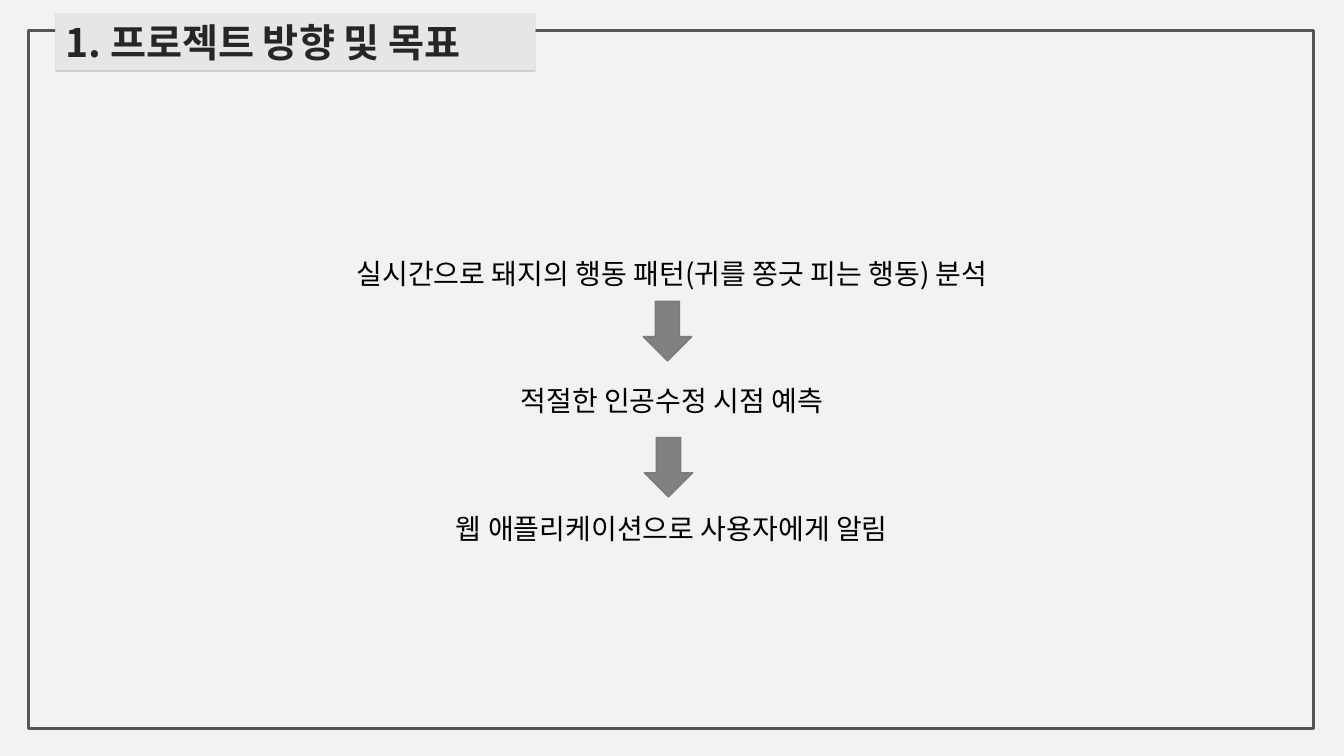
import pptx
import pptx.dml.color
import pptx.enum.shapes
import pptx.enum.text
import pptx.oxml
import pptx.oxml.ns
import pptx.util
from pptx.util import Inches

FONT = "Noto Sans CJK KR"
COLORS = {
    "background": "F2F2F2",
    "frame": "565658",
    "title_fill": "E6E6E6",
    "title_edge": "BFBFBF",
    "title_text": "262626",
    "body_text": "000000",
    "arrow_fill": "808080",
    "arrow_line": "7A7A7A",
}
GOALS = [
    "실시간으로 돼지의 행동 패턴(귀를 쫑긋 피는 행동) 분석",
    "적절한 인공수정 시점 예측",
    "웹 애플리케이션으로 사용자에게 알림",
]
SHAPES = pptx.enum.shapes.MSO_SHAPE
ALIGN = pptx.enum.text.PP_ALIGN


def color(name):
    return pptx.dml.color.RGBColor.from_string(COLORS[name])


def add_block(page, kind, place, fill=None, line=None, width=1):
    block = page.shapes.add_shape(kind, *map(Inches, place))
    block.shadow.inherit = False
    if fill:
        block.fill.solid()
        block.fill.fore_color.rgb = color(fill)
    else:
        block.fill.background()
    if line:
        block.line.color.rgb = color(line)
        block.line.width = pptx.util.Pt(width)
    else:
        block.line.fill.background()
    return block


def write_lines(box, lines, size, tint, align, bold=False, gap=0):
    frame = box.text_frame
    frame.word_wrap = True
    frame.vertical_anchor = pptx.enum.text.MSO_ANCHOR.MIDDLE
    for index, line in enumerate(lines):
        para = frame.add_paragraph() if index else frame.paragraphs[0]
        para.alignment = align
        if index:
            para.space_before = pptx.util.Pt(gap)
        span = para.add_run()
        span.text = line
        span.font.name = FONT
        span.font.size = pptx.util.Pt(size)
        span.font.bold = bold
        span.font.color.rgb = color(tint)
        # Korean letters take the East Asian typeface
        east_asian = pptx.oxml.parse_xml(
            f'<a:ea {pptx.oxml.ns.nsdecls("a")} typeface="{FONT}"/>')
        span.font._element.append(east_asian)


def add_bottom_edge(block):
    effects = block._element.spPr.find(pptx.oxml.ns.qn("a:effectLst"))
    effects.append(pptx.oxml.parse_xml(
        f'<a:outerShdw {pptx.oxml.ns.nsdecls("a")} dist="9525" dir="5400000">'
        f'<a:srgbClr val="{COLORS["title_edge"]}"/></a:outerShdw>'))


def main():
    deck = pptx.Presentation()
    deck.slide_width, deck.slide_height = Inches(13.33), Inches(7.5)
    page = deck.slides.add_slide(deck.slide_layouts[6])
    page.background.fill.solid()
    page.background.fill.fore_color.rgb = color("background")

    # Frame and title
    add_block(page, SHAPES.RECTANGLE, (0.28, 0.3, 12.75, 6.93), line="frame", width=2)
    title = add_block(page, SHAPES.RECTANGLE, (0.55, 0.13, 4.76, 0.57), "title_fill")
    add_bottom_edge(title)
    write_lines(title, ["1. 프로젝트 방향 및 목표"], 28, "title_text", ALIGN.LEFT, bold=True)

    # Goals, with an arrow between each pair
    goals = page.shapes.add_textbox(*map(Inches, (3.05, 2.41, 7.23, 3.13)))
    write_lines(goals, GOALS, 20, "body_text", ALIGN.CENTER, gap=67)
    for left, top in ((6.38, 2.99), (6.39, 4.34)):
        add_block(page, SHAPES.DOWN_ARROW, (left, top, 0.48, 0.59), "arrow_fill", "arrow_line")

    deck.save("out.pptx")


if __name__ == "__main__":
    main()
